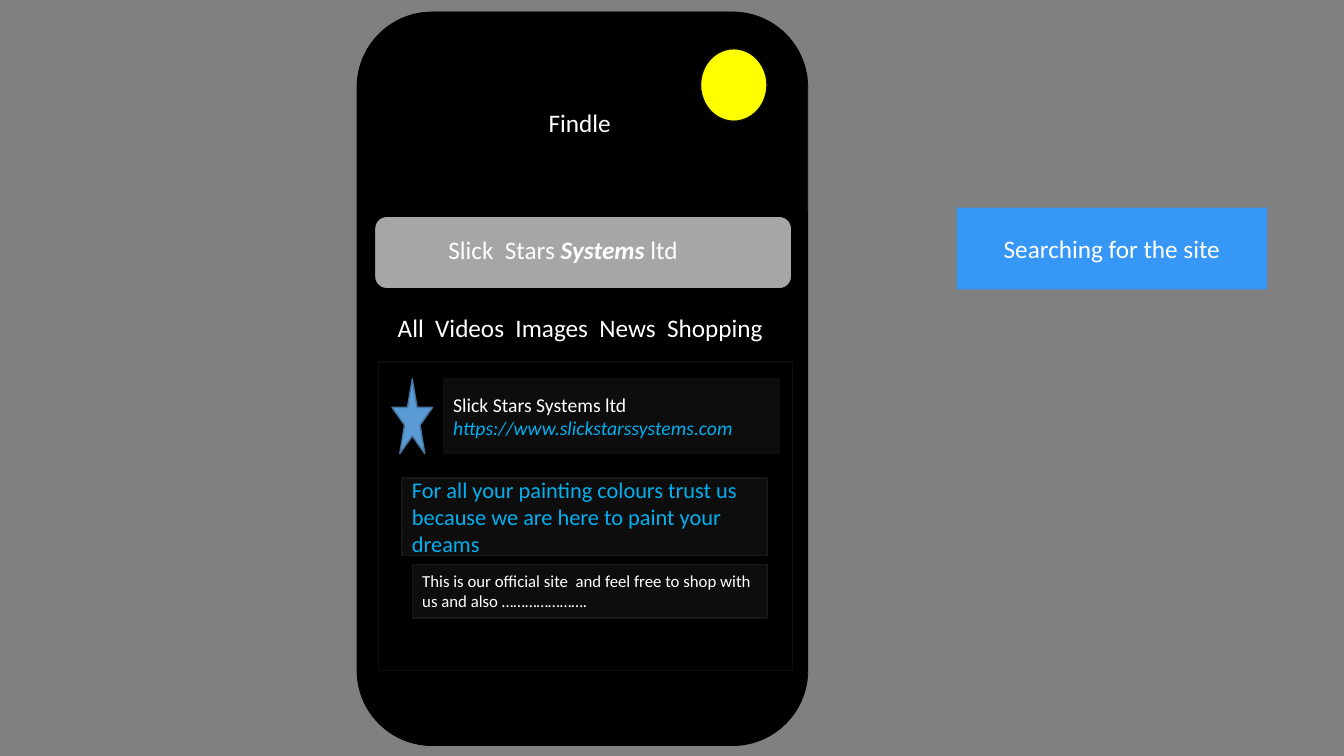
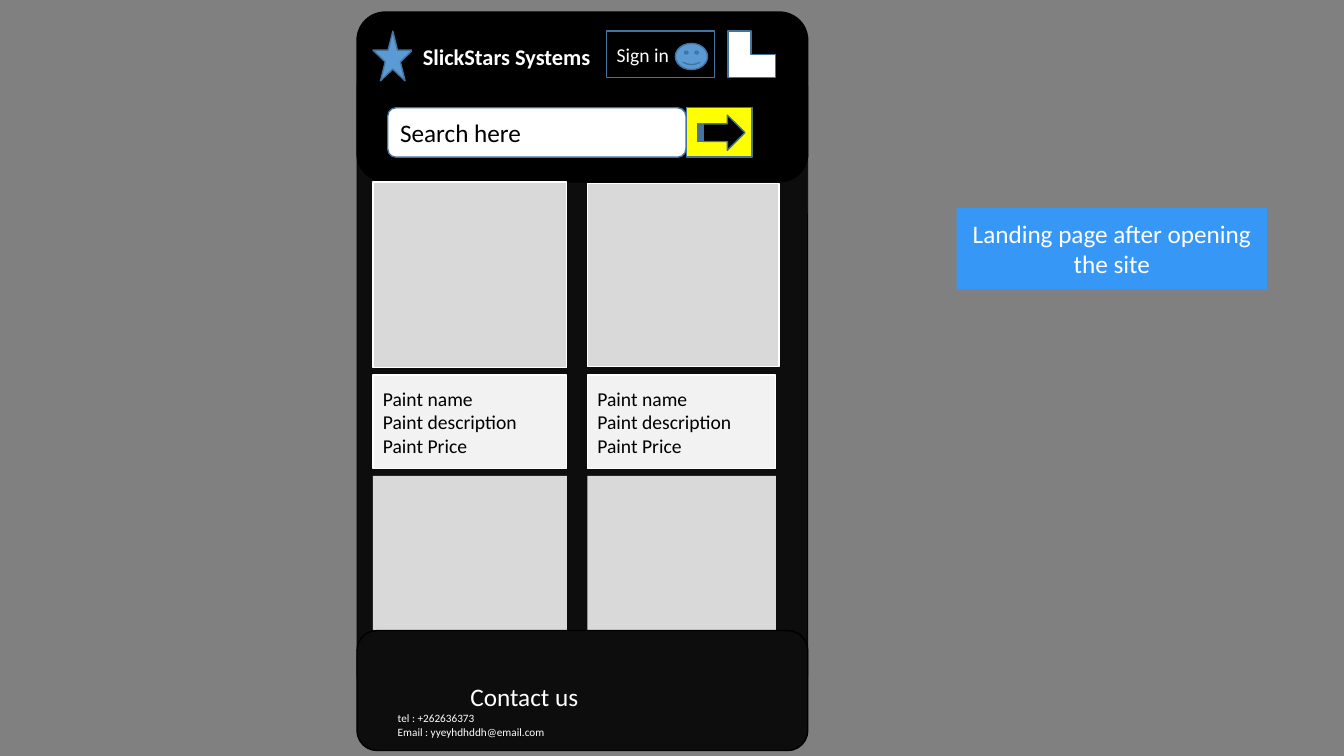
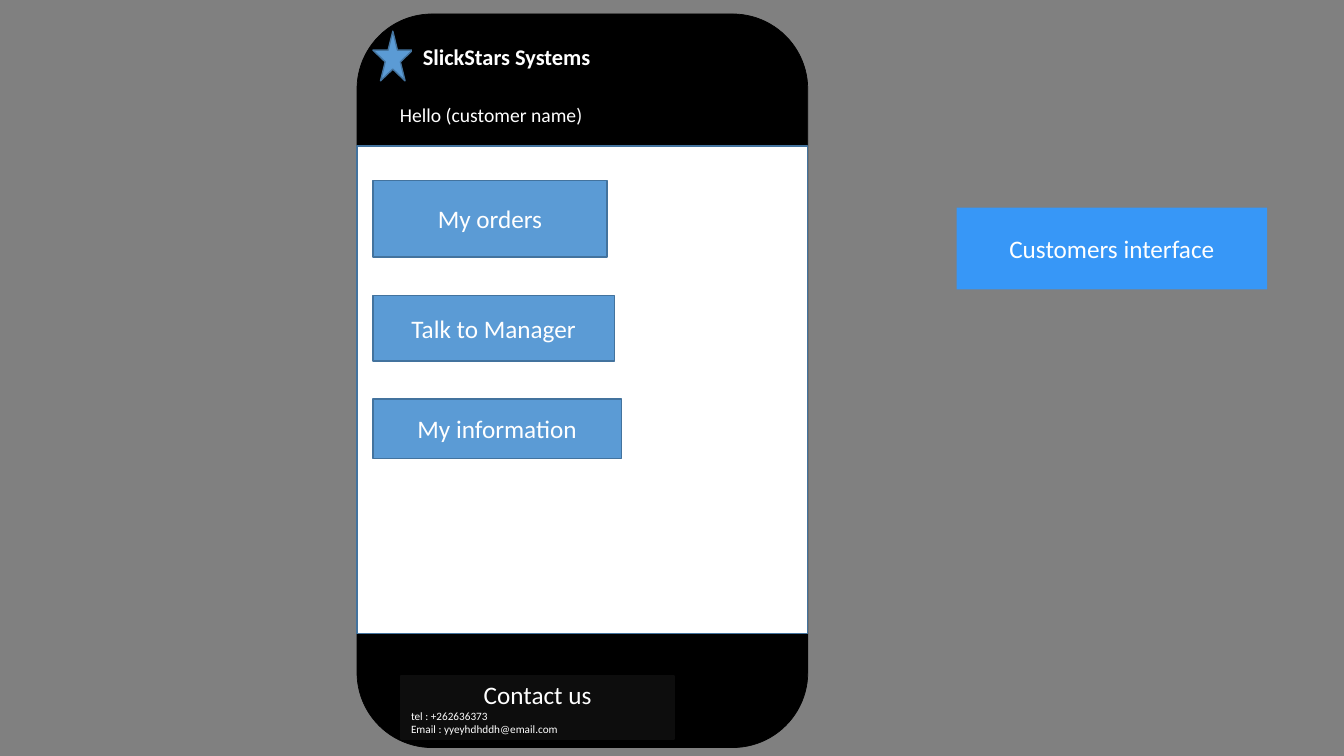
from dataclasses import dataclass

from lxml import etree
from pptx import Presentation
from pptx.dml.color import RGBColor
from pptx.enum.shapes import MSO_SHAPE
from pptx.enum.text import MSO_ANCHOR, MSO_AUTO_SIZE, PP_ALIGN
from pptx.oxml.ns import qn
from pptx.util import Pt

RECT = MSO_SHAPE.RECTANGLE
ROUNDED = MSO_SHAPE.ROUNDED_RECTANGLE
STAR = MSO_SHAPE.STAR_5_POINT
OVAL = MSO_SHAPE.OVAL
SMILEY = MSO_SHAPE.SMILEY_FACE
CORNER = MSO_SHAPE.CORNER
ARROW = MSO_SHAPE.STRIPED_RIGHT_ARROW
LEFT, CENTER = PP_ALIGN.LEFT, PP_ALIGN.CENTER
MIDDLE = MSO_ANCHOR.MIDDLE
NO_AUTOFIT = MSO_AUTO_SIZE.NONE

BLACK = RGBColor(0x00, 0x00, 0x00)
NEAR_BLACK = RGBColor(0x0D, 0x0D, 0x0D)
CHARCOAL = RGBColor(0x18, 0x17, 0x17)
BACKDROP = RGBColor(0x80, 0x80, 0x80)
SEARCH_GRAY = RGBColor(0xA6, 0xA6, 0xA6)
PHOTO_GRAY = RGBColor(0xD9, 0xD9, 0xD9)
CARD_GRAY = RGBColor(0xF2, 0xF2, 0xF2)
WHITE = RGBColor(0xFF, 0xFF, 0xFF)
YELLOW = RGBColor(0xFF, 0xFF, 0x00)
BLUE = RGBColor(0x5B, 0x9B, 0xD5)
EDGE_BLUE = RGBColor(0x43, 0x73, 0x9E)
LINK_BLUE = RGBColor(0x00, 0xB0, 0xF0)
CALLOUT_BLUE = RGBColor(0x33, 0x99, 0xFF)

FONT = "Calibri"
PHONE_LEFT, PHONE_WIDTH = 255, 322
CONTENT_LEFT = 266.4


@dataclass
class Span:
    text: str
    size: float = 18
    color: RGBColor = WHITE
    bold: bool = False
    italic: bool = False


class Mockup:
    """Holds the deck, its shared style and the page being drawn."""

    def __init__(self):
        self.deck = Presentation()
        self.deck.slide_width, self.deck.slide_height = Pt(960), Pt(540)
        backdrop = self.deck.slide_master.background.fill
        backdrop.solid()
        backdrop.fore_color.rgb = BACKDROP
        self.page = None

    def new_page(self, caption):
        """Start a page whose title is the blue callout beside the phone."""
        self.page = self.deck.slides.add_slide(self.deck.slide_layouts[5])
        title = self.page.shapes.title
        title.left, title.top = Pt(683.3), Pt(148.3)
        title.width, title.height = Pt(221.8), Pt(58.4)
        title.fill.solid()
        title.fill.fore_color.rgb = CALLOUT_BLUE
        color = title.element.spPr.find(".//" + qn("a:srgbClr"))
        etree.SubElement(color, qn("a:alpha")).set("val", "94000")
        title.text_frame.auto_size = NO_AUTOFIT
        self.add_text(title, [[Span(caption)]], CENTER)

    def add_text(self, box, paras, align):
        """Fill a box with paragraphs, each a list of spans."""
        frame = box.text_frame
        frame.word_wrap = True
        frame.vertical_anchor = MIDDLE
        for index, spans in enumerate(paras):
            para = frame.add_paragraph() if index else frame.paragraphs[0]
            para.alignment = align
            for span in spans:
                run = para.add_run()
                run.text = span.text
                font = run.font
                font.name, font.size = FONT, Pt(span.size)
                font.bold, font.italic = span.bold, span.italic
                font.color.rgb = span.color

    def shape(self, kind, at, fill, line=None, weight=1):
        box = self.page.shapes.add_shape(kind, *(Pt(length) for length in at))
        box.shadow.inherit = False
        box.fill.solid()
        box.fill.fore_color.rgb = fill
        if line is None:
            box.line.fill.background()
        else:
            box.line.color.rgb = line
            box.line.width = Pt(weight)
        return box

    def label(self, at, fill, line, paras, align=LEFT, kind=RECT):
        box = self.shape(kind, at, fill, line)
        self.add_text(box, paras, align)
        return box

    def phone(self, top, fill):
        self.shape(ROUNDED, (PHONE_LEFT, top, PHONE_WIDTH, 524), fill, BLACK, 0.5)

    def brand(self):
        self.shape(STAR, (CONTENT_LEFT, 22.3, 28.4, 35.5), BLUE, EDGE_BLUE)
        self.label((295, 22.3, 138.5, 35.5), BLACK, BLACK,
                   [[Span("SlickStars Systems", 16, bold=True)]])

    def contact(self, left, top):
        box = self.label((left, top, 195, 44.8), NEAR_BLACK, NEAR_BLACK,
                         [[Span("Contact us")],
                          [Span("tel : +262636373", 8)],
                          [Span("Email : yyeyhdhddh@email.com", 8)]])
        box.text_frame.paragraphs[0].alignment = CENTER


def search_page(mockup):
    mockup.new_page("Searching for the site")
    mockup.phone(8.6, BLACK)
    mockup.label((294.5, 53.3, 239, 68.4), BLACK, BLACK, [[Span("Findle")]], CENTER)
    mockup.shape(ROUNDED, (267.5, 154.5, 298, 51.8), SEARCH_GRAY, BLACK)
    mockup.shape(RECT, (270.5, 258.5, 295.4, 220.3), BLACK, NEAR_BLACK)
    mockup.label((267.5, 219, 298, 29.5), BLACK, BLACK,
                 [[Span("All  Videos  Images  News  Shopping ")]], CENTER)
    mockup.label((304.6, 160, 195, 36), SEARCH_GRAY, SEARCH_GRAY,
                 [[Span("Slick  Stars "), Span("Systems", bold=True, italic=True),
                   Span(" ltd")]], CENTER)
    mockup.shape(STAR, (280, 270.6, 29, 53.5), BLUE, EDGE_BLUE)
    mockup.label((316.6, 270.6, 240.4, 53.5), NEAR_BLACK, NEAR_BLACK,
                 [[Span("Slick Stars Systems ltd", 14)],
                  [Span("https://www.slickstarssystems.com", 14, LINK_BLUE,
                        italic=True)]])
    mockup.label((287.2, 341.4, 260.8, 55.4), NEAR_BLACK, CHARCOAL,
                 [[Span("For all your painting colours trust us because we are "
                        "here to paint your dreams", 16, LINK_BLUE)]])
    mockup.label((294.5, 403.2, 253.5, 38.2), NEAR_BLACK, CHARCOAL,
                 [[Span("This is our official site  and feel free to shop with "
                        "us and also ………………….", 12)]])
    mockup.shape(OVAL, (500.4, 34.8, 47.5, 51.8), YELLOW, NEAR_BLACK)


def landing_page(mockup):
    mockup.new_page("Landing page after opening the site")
    mockup.phone(10, NEAR_BLACK)
    mockup.shape(ROUNDED, (PHONE_LEFT, 8.6, PHONE_WIDTH, 121.3), BLACK, BLACK)
    mockup.brand()
    mockup.label((433.4, 22.3, 77, 33), BLACK, EDGE_BLUE, [[Span("Sign in", 14)]])
    mockup.shape(SMILEY, (482.4, 31, 23, 18.7), BLUE, EDGE_BLUE)
    mockup.shape(CORNER, (520, 22.3, 34, 33), WHITE, EDGE_BLUE)
    mockup.label((277, 77, 213, 35.3), WHITE, EDGE_BLUE,
                 [[Span("Search here", color=BLACK)]], kind=ROUNDED)
    mockup.shape(RECT, (490.2, 77, 47, 35.3), YELLOW, EDGE_BLUE)
    mockup.shape(ARROW, (498.4, 82.2, 33.8, 25.2), BLACK, EDGE_BLUE)

    details = [[Span(text, 14, BLACK)]
               for text in ("Paint name", "Paint description", "Paint Price")]
    for left, width, photo_top, photo_width, photo_height in (
            (CONTENT_LEFT, 138.5, 130, 138.5, 132.5),
            (419.6, 134.6, 131, 136.8, 131)):
        mockup.shape(RECT, (left, photo_top, photo_width, photo_height),
                     PHOTO_GRAY, WHITE)
        mockup.label((left, 268, width, 66.5), CARD_GRAY, WHITE, details)
        mockup.shape(RECT, (left, 340, width, 110.2), PHOTO_GRAY)

    mockup.shape(ROUNDED, (PHONE_LEFT, 450.4, PHONE_WIDTH, 85.7), NEAR_BLACK, BLACK)
    mockup.contact(277, 484.6)


def customer_page(mockup):
    mockup.new_page("Customers interface")
    mockup.phone(10, BLACK)
    mockup.brand()
    mockup.shape(RECT, (PHONE_LEFT, 104.4, PHONE_WIDTH, 348), WHITE, EDGE_BLUE)
    for text, top, width, height in (("My orders", 129, 167.2, 54.5),
                                     ("Talk to Manager", 211, 172.4, 47),
                                     ("My information", 285, 177.4, 42.6)):
        mockup.label((CONTENT_LEFT, top, width, height), BLUE, EDGE_BLUE,
                     [[Span(text)]], CENTER)
    mockup.label((278.6, 70.6, 149, 22.3), BLACK, BLACK,
                 [[Span("Hello (customer name)", 14)]])
    mockup.contact(286.5, 483)


def main():
    mockup = Mockup()
    for draw in (search_page, landing_page, customer_page):
        draw(mockup)
    mockup.deck.save("out.pptx")


if __name__ == "__main__":
    main()
